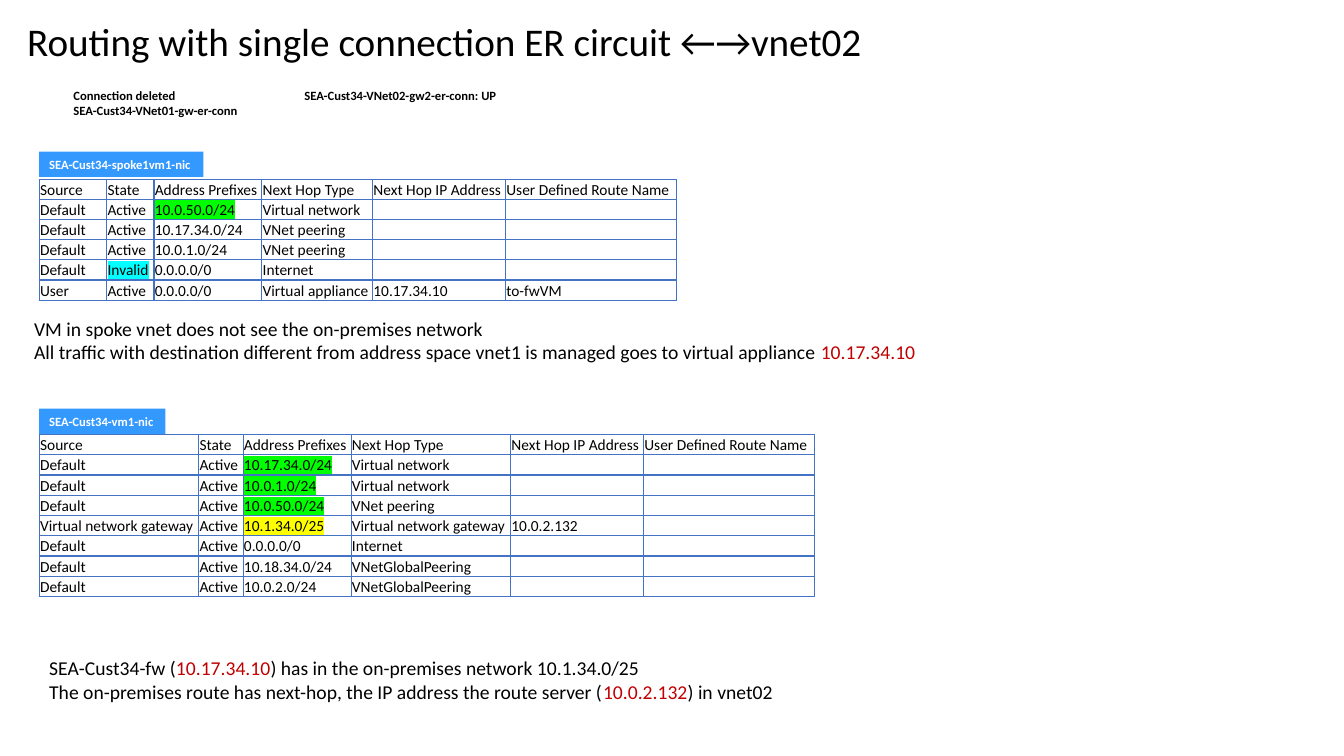
import dataclasses
import typing

import lxml.etree
import pptx
import pptx.dml.color
import pptx.enum.shapes
import pptx.enum.text
import pptx.oxml.ns
import pptx.util

Cm = pptx.util.Cm
BLACK, WHITE, RED = "000000", "FFFFFF", "C00000"
GREEN, CYAN, GOLD = "00FF00", "00FFFF", "FFFF00"
LABEL, BORDER = "3399FF", "4472C4"
FONT = "Calibri"
EDGE = 0.99
STEP = 0.51


@dataclasses.dataclass(frozen=True)
class Run:
    text: str
    color: str = BLACK
    mark: str = ""


@dataclasses.dataclass(frozen=True)
class Box:
    left: float
    top: float
    width: float
    height: float
    size: float
    lines: list[list[Run]]
    bold: bool = False
    wrap: bool = False
    fill: str = ""


@dataclasses.dataclass(frozen=True)
class Grid:
    top: float
    head: float
    widths: list[float]
    rows: list[list[str | Run]]


def shade(code: str) -> pptx.dml.color.RGBColor:
    return pptx.dml.color.RGBColor.from_string(code)


def child(node: typing.Any, tag: str, **attrs: str) -> typing.Any:
    return lxml.etree.SubElement(node, pptx.oxml.ns.qn(tag), **attrs)


def add_run(para: typing.Any, part: Run, size: float, bold: bool = False) -> None:
    run = para.add_run()
    run.text = part.text
    font = run.font
    font.size, font.bold, font.name = pptx.util.Pt(size), bold, FONT
    font.color.rgb = shade(part.color)
    if part.mark:
        props = font._element
        mark = child(props, "a:highlight")
        child(mark, "a:srgbClr", val=part.mark)
        props.find(pptx.oxml.ns.qn("a:latin")).addprevious(mark)


def add_box(slide: typing.Any, box: Box) -> None:
    place = [Cm(x) for x in (box.left, box.top, box.width, box.height)]
    if box.fill:
        shape = slide.shapes.add_shape(pptx.enum.shapes.MSO_SHAPE.RECTANGLE, *place)
        shape.shadow.inherit = False
        shape.fill.solid()
        shape.fill.fore_color.rgb = shade(box.fill)
        shape.line.fill.background()
    else:
        shape = slide.shapes.add_textbox(*place)
    frame = shape.text_frame
    frame.word_wrap = box.wrap
    frame.auto_size = pptx.enum.text.MSO_AUTO_SIZE.SHAPE_TO_FIT_TEXT
    for num, line in enumerate(box.lines):
        para = frame.add_paragraph() if num else frame.paragraphs[0]
        para.alignment = pptx.enum.text.PP_ALIGN.LEFT
        for part in line:
            add_run(para, part, box.size, box.bold)


def fill_cell(cell: typing.Any, item: str | Run) -> None:
    cell.margin_left = cell.margin_right = cell.margin_top = Cm(0.02)
    cell.margin_bottom = 0
    cell.vertical_anchor = pptx.enum.text.MSO_ANCHOR.BOTTOM
    props = cell._tc.get_or_add_tcPr()
    for side in "LRTB":
        line = child(props, f"a:ln{side}", w="12700")
        child(child(line, "a:solidFill"), "a:srgbClr", val=BORDER)
    cell.fill.background()
    para = cell.text_frame.paragraphs[0]
    if item:
        add_run(para, item if isinstance(item, Run) else Run(item), 11)
    else:
        child(para._p, "a:endParaRPr", sz="1100")


def add_grid(slide: typing.Any, grid: Grid) -> None:
    rows = [HEAD, *grid.rows]
    highs = [grid.head] + [STEP] * len(grid.rows)
    frame = slide.shapes.add_table(len(rows), len(HEAD), Cm(EDGE), Cm(grid.top),
                                   Cm(sum(grid.widths)), Cm(sum(highs)))
    table = frame.table
    table.first_row = table.horz_banding = False
    for col, width in zip(table.columns, grid.widths):
        col.width = Cm(width)
    for row, high, items in zip(table.rows, highs, rows):
        row.height = Cm(high)
        for num, cell in enumerate(row.cells):
            fill_cell(cell, items[num] if num < len(items) else "")


HEAD = ["Source", "State", "Address Prefixes", "Next Hop Type",
        "Next Hop IP Address", "User Defined Route Name"]
GATE = "Virtual network gateway"

BOXES = [
    Box(1.6, 2.08, 4.72, 1.02, 9,
        [[Run("Connection deleted")], [Run("SEA-Cust34-VNet01-gw-er-conn")]], bold=True),
    Box(7.42, 2.08, 5.44, 0.64, 9,
        [[Run("SEA-Cust34-VNet02-gw2-er-conn: UP")]], bold=True),
    Box(EDGE, 3.82, 4.14, 0.64, 9,
        [[Run("SEA-Cust34-spoke1vm1-nic", WHITE)]], bold=True, fill=LABEL),
    Box(0.61, 7.85, 23.34, 1.45, 14,
        [[Run("VM in spoke vnet does not see the on-premises network")],
         [Run("All traffic with destination different from address space vnet1 "
              "is managed goes to virtual appliance "), Run("10.17.34.10", RED)]], wrap=True),
    Box(EDGE, 10.3, 3.18, 0.64, 9,
        [[Run("SEA-Cust34-vm1-nic", WHITE)]], bold=True, fill=LABEL),
    Box(EDGE, 16.41, 19.3, 1.45, 14,
        [[Run("SEA-Cust34-fw ("), Run("10.17.34.10", RED),
          Run(") has in the on-premises network 10.1.34.0/25")],
         [Run("The on-premises route has next-hop, the IP address the route server ("),
          Run("10.0.2.132", RED), Run(") in vnet02")]], wrap=True),
]

GRIDS = [
    Grid(4.53, 0.43, [1.7, 1.19, 2.72, 2.79, 3.35, 4.3], [
        ["Default", "Active", Run("10.0.50.0/24", mark=GREEN), "Virtual network"],
        ["Default", "Active", "10.17.34.0/24", "VNet peering"],
        ["Default", "Active", "10.0.1.0/24", "VNet peering"],
        ["Default", Run("Invalid", mark=CYAN), "0.0.0.0/0", "Internet"],
        ["User", "Active", "0.0.0.0/0", "Virtual appliance", "10.17.34.10", "to-fwVM"],
    ]),
    Grid(10.95, STEP, [4.02, 1.12, 2.72, 4.02, 3.35, 4.3], [
        ["Default", "Active", Run("10.17.34.0/24", mark=GREEN), "Virtual network"],
        ["Default", "Active", Run("10.0.1.0/24", mark=GREEN), "Virtual network"],
        ["Default", "Active", Run("10.0.50.0/24", mark=GREEN), "VNet peering"],
        [GATE, "Active", Run("10.1.34.0/25", mark=GOLD), GATE, "10.0.2.132"],
        ["Default", "Active", "0.0.0.0/0", "Internet"],
        ["Default", "Active", "10.18.34.0/24", "VNetGlobalPeering"],
        ["Default", "Active", "10.0.2.0/24", "VNetGlobalPeering"],
    ]),
]

deck = pptx.Presentation()
deck.slide_width, deck.slide_height = Cm(33.87), Cm(19.05)
slide = deck.slides.add_slide(deck.slide_layouts[5])

title = slide.shapes.title
title.left, title.top, title.width, title.height = Cm(0.43), Cm(0.56), Cm(29.21), Cm(1.09)
title.text_frame.auto_size = pptx.enum.text.MSO_AUTO_SIZE.NONE
title.text_frame.vertical_anchor = pptx.enum.text.MSO_ANCHOR.MIDDLE
para = title.text_frame.paragraphs[0]
para.alignment = pptx.enum.text.PP_ALIGN.LEFT
para.line_spacing = 0.9
add_run(para, Run("Routing with single connection ER circuit ←→vnet02"), 28)

for box in BOXES:
    add_box(slide, box)
for grid in GRIDS:
    add_grid(slide, grid)

deck.save("out.pptx")
